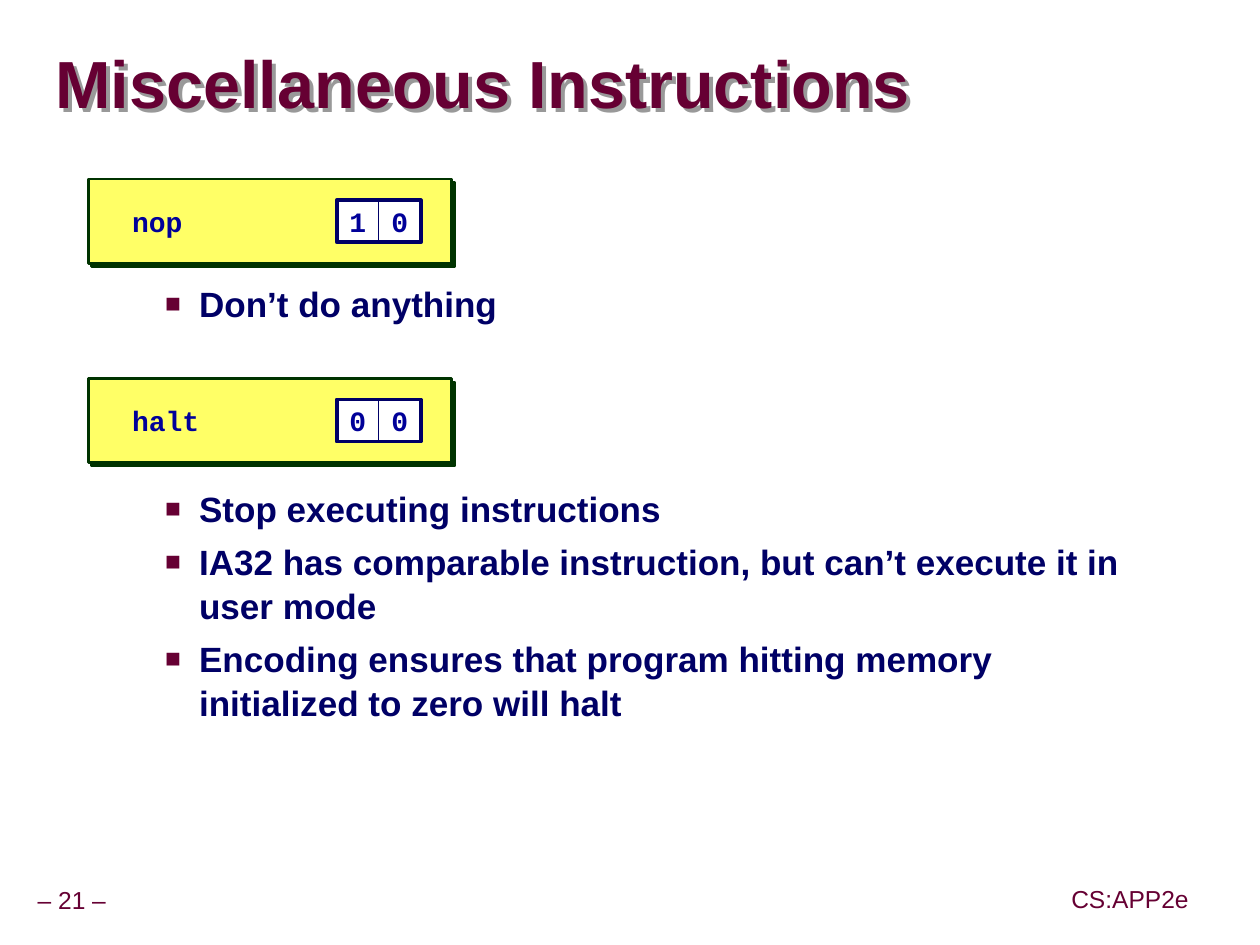
from lxml.etree import SubElement
from pptx import Presentation
from pptx.dml.color import RGBColor
from pptx.enum.shapes import MSO_SHAPE
from pptx.enum.text import MSO_ANCHOR, PP_ALIGN
from pptx.oxml.ns import qn
from pptx.util import Inches, Pt

# Content
TITLE = "Miscellaneous Instructions"
CODES = [("nop", "10", 1.42), ("halt", "00", 3.0)]  # name, bytes, top
NOTES = [  # text, space before in points
    ("Don’t do anything", 0),
    ("Stop executing instructions", 92),
    ("IA32 has comparable instruction, but can’t execute it in user mode", 5),
    ("Encoding ensures that program hitting memory initialized to zero will halt", 5),
]
FOOTS = [("– 21 –", 0.24, 6.99, 0.66), ("CS:APP2e", 8.44, 6.98, 1.04)]

# Colours and sizes
WINE = RGBColor(0x66, 0x00, 0x33)
NAVY = RGBColor(0x00, 0x00, 0x66)
BLUE = RGBColor(0x00, 0x00, 0x99)
GREEN = RGBColor(0x00, 0x33, 0x00)
YELLOW = RGBColor(0xFF, 0xFF, 0x66)
WHITE = RGBColor(0xFF, 0xFF, 0xFF)
GRAY = RGBColor(0x99, 0x99, 0x99)
CELL = 1 / 3

deck = Presentation()
deck.slide_width, deck.slide_height = Inches(9.99), Inches(7.49)
slide = deck.slides.add_slide(deck.slide_layouts[6])


def set_frame(shape, pad_x, pad_y, wrap, anchor=MSO_ANCHOR.MIDDLE):
    frame = shape.text_frame
    frame.margin_left = frame.margin_right = Inches(pad_x)
    frame.margin_top = frame.margin_bottom = Inches(pad_y)
    frame.word_wrap, frame.vertical_anchor = wrap, anchor
    return frame


def add_run(para, text, size, color, font="Arial", bold=True):
    run = para.add_run()
    run.text = text
    run.font.name, run.font.size, run.font.bold = font, Pt(size), bold
    run.font.color.rgb = color


def add_box(x, y, w, h):
    return slide.shapes.add_textbox(Inches(x), Inches(y), Inches(w), Inches(h))


def add_rect(x, y, w, h, fill, line, width):
    rect = slide.shapes.add_shape(
        MSO_SHAPE.RECTANGLE, Inches(x), Inches(y), Inches(w), Inches(h))
    rect.shadow.inherit = False
    if fill is None:
        rect.fill.background()
    else:
        rect.fill.solid()
        rect.fill.fore_color.rgb = fill
    rect.line.color.rgb, rect.line.width = line, Pt(width)
    return rect


def add_shadow(shape, color, dist):
    shape.shadow.inherit = False
    effects = shape._element.spPr.find(qn("a:effectLst"))
    outer = SubElement(effects, qn("a:outerShdw"), blurRad="0",
                       dist=str(Pt(dist)), dir="2700000", algn="ctr", rotWithShape="0")
    SubElement(outer, qn("a:srgbClr"), val=str(color))


def add_bullet(para):
    props = para._p.get_or_add_pPr()
    props.set("marL", str(Inches(0.81)))
    props.set("indent", str(Inches(-0.27)))
    tint = SubElement(props, qn("a:buClr"))
    SubElement(tint, qn("a:srgbClr"), val=str(WINE))
    SubElement(props, qn("a:buSzPct"), val="75000")
    SubElement(props, qn("a:buFont"), typeface="Arial")
    SubElement(props, qn("a:buChar"), char="■")


# Footer
for text, x, y, w in FOOTS:
    para = set_frame(add_box(x, y, w, 0.31), 0.05, 0.05, False).paragraphs[0]
    para.alignment, para.line_spacing = PP_ALIGN.CENTER, 0.9
    add_run(para, text, 14, WINE, bold=False)

# Title
head = add_box(0.44, 0.27, 9.52, 0.85)
add_shadow(head, GRAY, 3.2)
para = set_frame(head, 0, 0, True).paragraphs[0]
para.line_spacing = 0.87
add_run(para, TITLE, 38, WINE)

# Bullet list
frame = set_frame(add_box(0.67, 2.17, 8.42, 3.6), 0.1, 0.05, True, MSO_ANCHOR.TOP)
for i, (text, gap) in enumerate(NOTES):
    para = frame.paragraphs[0] if i == 0 else frame.add_paragraph()
    add_bullet(para)
    para.line_spacing, para.space_before = 1.05, Pt(gap)
    add_run(para, text, 20, NAVY)

# Instruction encodings
for name, digits, top in CODES:
    card = add_rect(0.7, top, 2.88, 2 * CELL, YELLOW, GREEN, 1.5)
    add_shadow(card, GREEN, 2.8)
    row = top + CELL / 2
    label = set_frame(add_box(0.95, row, 1.6, CELL), 0.1, 0.05, True)
    add_run(label.paragraphs[0], name, 16, BLUE, "Courier New")
    left = 2.67
    for i, digit in enumerate(digits):
        cell = add_rect(left + i * CELL, row, CELL, CELL, WHITE, NAVY, 0.5)
        para = set_frame(cell, 0, 0.05, False).paragraphs[0]
        para.alignment = PP_ALIGN.CENTER
        add_run(para, digit, 16, BLUE, "Courier New")
    add_rect(left, row, len(digits) * CELL, CELL, None, NAVY, 2.25)

deck.save("out.pptx")
